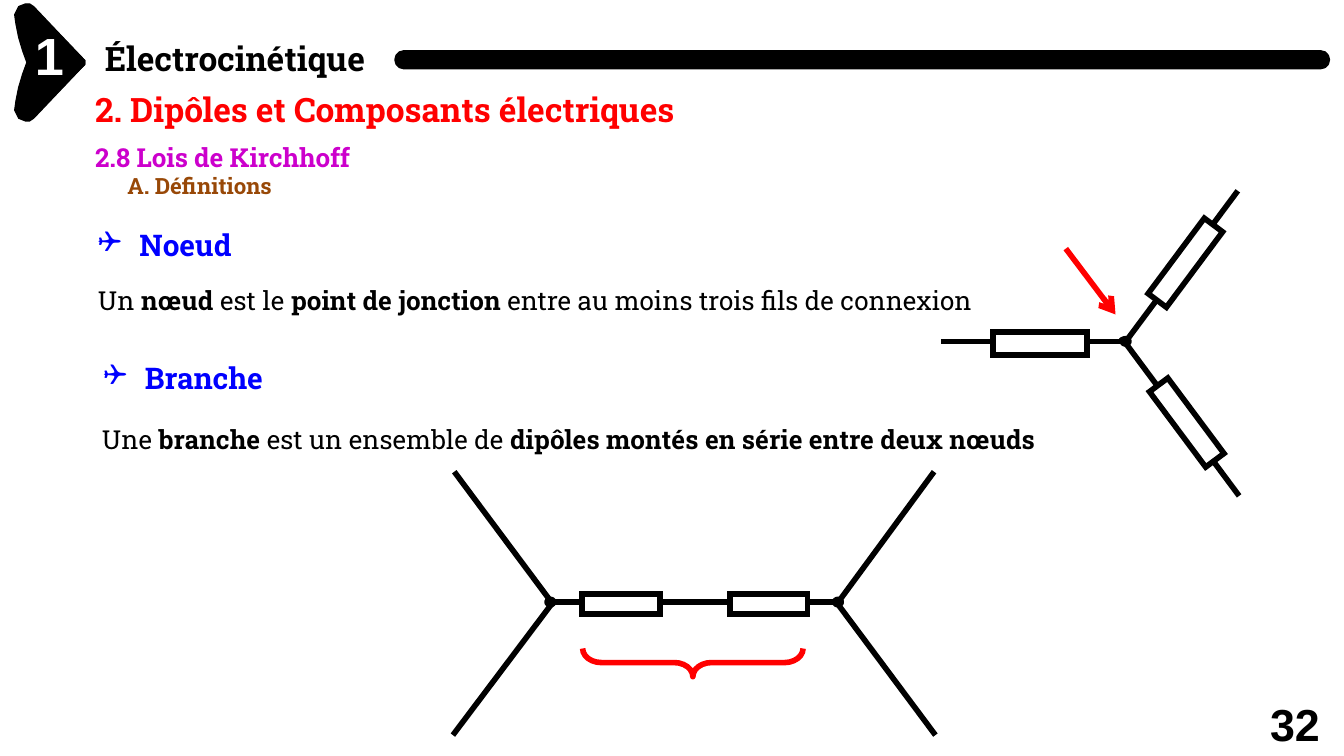
from lxml import etree
from pptx import Presentation
from pptx.dml.color import RGBColor
from pptx.enum.shapes import MSO_CONNECTOR, MSO_SHAPE
from pptx.enum.text import PP_ALIGN
from pptx.oxml.ns import qn
from pptx.util import Pt

PX = 9144  # 100 px to the inch
STRAIGHT = MSO_CONNECTOR.STRAIGHT
RECTANGLE = MSO_SHAPE.RECTANGLE
OVAL = MSO_SHAPE.OVAL
ROUNDED = MSO_SHAPE.ROUNDED_RECTANGLE
BRACE = MSO_SHAPE.RIGHT_BRACE
JUSTIFY = PP_ALIGN.JUSTIFY

BLACK = RGBColor(0x00, 0x00, 0x00)
WHITE = RGBColor(0xFF, 0xFF, 0xFF)
RED = RGBColor(0xFF, 0x00, 0x00)
BLUE = RGBColor(0x00, 0x00, 0xFF)
MAGENTA = RGBColor(0xCC, 0x00, 0xCC)
BROWN = RGBColor(0x98, 0x48, 0x07)
SLAB = "Roboto Slab"
TIGHT = "-5"  # letter spacing of the headings, in hundredths of a point

prs = Presentation()
prs.slide_width = 1000 * PX
prs.slide_height = prs.slide_width * 9 // 16
slide = prs.slides.add_slide(prs.slide_layouts[6])
shapes = slide.shapes


def add_text(box, runs, size, color, font=SLAB, insets=(10, 5)):
    """Add a one-paragraph text box; runs are (text, bold) pairs."""
    frame_shape = shapes.add_textbox(*(v * PX for v in box))
    frame = frame_shape.text_frame
    frame.word_wrap = True
    frame.margin_left = frame.margin_right = insets[0] * PX
    frame.margin_top = frame.margin_bottom = insets[1] * PX
    for text, bold in runs:
        run = frame.paragraphs[0].add_run()
        run.text = text
        run.font.name = font
        run.font.size = Pt(size)
        run.font.bold = bold
        run.font.color.rgb = color
    return frame_shape


def paint(shape, fill, line, width):
    shape.shadow.inherit = False
    if fill is None:
        shape.fill.background()
    else:
        shape.fill.solid()
        shape.fill.fore_color.rgb = fill
    shape.line.color.rgb = line
    shape.line.width = Pt(width)


# Header: chapter marker made of two mirrored lobes, title and bar
LOBE = [(19, 3), (14, 5), (11, 11), (12, 18), (14, 28), (17, 38), (21, 49),
        (25, 60), (27, 70), (28, 79), (28, 83), (26, 86), (62, 49), (63, 48),
        (63, 45), (62, 44), (25, 5), (22, 3)]
for lobe in (LOBE, [(x, 93 - y) for x, y in LOBE]):
    builder = shapes.build_freeform(*lobe[0], scale=PX)
    builder.add_line_segments(lobe[1:], close=True)
    paint(builder.convert_to_shape(), BLACK, BLACK, 0.75)

bar = shapes.add_shape(ROUNDED, 294 * PX, 38 * PX, 695 * PX, 13 * PX)
bar.adjustments[0] = 0.5
paint(bar, BLACK, BLACK, 1)

title = add_text((78, 27, 583, 33), [("Électrocinétique", True)], 18, BLACK,
                 insets=(0, 1))
add_text((26, 16, 24, 49), [("1", True)], 28, WHITE, "Arial", (0, 1))
page_number = add_text((945, 525, 55, 34), [("32", True)], 24, BLACK, "Arial", (0, 0))
page_number.text_frame.paragraphs[0].line_spacing = Pt(24.3)

# Section headings
section = add_text((61, 61, 515, 40), [("2. Dipôles et Composants électriques", True)],
                   18, RED)
subsection = add_text((61, 100, 500, 59), [("2.8 Lois de Kirchhoff", True)], 14, MAGENTA)
topic = subsection.text_frame.add_paragraph()
topic.text = "A. Définitions"
topic._p.get_or_add_pPr().set("marL", str(24 * PX))
topic_font = topic.runs[0].font
topic_font.name = SLAB
topic_font.size = Pt(12)
topic_font.bold = True
topic_font.color.rgb = BROWN
for heading in (title, section, subsection):
    for paragraph in heading.text_frame.paragraphs:
        paragraph.runs[0].font._element.set("spc", TIGHT)

# Bulleted terms
for box, term in (((63, 164, 284, 37), "Noeud"), ((67, 263, 502, 37), "Branche")):
    heading = add_text(box, [(term, True)], 16, BLUE)
    heading.fill.solid()
    heading.fill.fore_color.rgb = WHITE
    paragraph = heading.text_frame.paragraphs[0]
    paragraph.alignment = JUSTIFY
    properties = paragraph._p.get_or_add_pPr()
    properties.set("marL", str(31 * PX))
    properties.set("indent", str(-31 * PX))
    etree.SubElement(properties, qn("a:buFont")).set("typeface", "Wingdings")
    etree.SubElement(properties, qn("a:buChar")).set("char", "❑")

# Definitions
node_definition = [("Un ", False), ("nœud", True), (" est le ", False),
                   ("point de jonction", True),
                   (" entre au moins trois fils de connexion", False)]
branch_definition = [("Une ", False), ("branche", True), (" est un ensemble de", False),
                     (" dipôles montés en série entre deux nœuds", True)]
for box, definition in (((63, 207, 729, 34), node_definition),
                        ((66, 310, 809, 34), branch_definition)):
    sentence = add_text(box, definition, 14, BLACK)
    sentence.text_frame.paragraphs[0].alignment = JUSTIFY

# Wires of both circuits, then the arrow pointing at the node
WIRES = [
    (700, 254, 840, 254), (837, 255, 921, 142), (838, 256, 922, 369),
    (623, 449, 695, 351), (623, 449, 696, 547), (510, 448, 627, 448),
    (524, 448, 407, 448), (411, 449, 338, 351), (410, 450, 337, 547),
]
NODE_ARROW = (793, 185, 830, 234)
for ends in WIRES + [NODE_ARROW]:
    wire = shapes.add_connector(STRAIGHT, *(v * PX for v in ends))
    wire.line.color.rgb = RED if ends == NODE_ARROW else BLACK
    wire.line.width = Pt(3)
    if ends == NODE_ARROW:
        etree.SubElement(wire.line._get_or_add_ln(), qn("a:tailEnd")).set("type", "arrow")
    etree.SubElement(wire._element.spPr, qn("a:effectLst"))

# Dipoles: left, top, width, height, rotation
for *box, angle in ((739, 247, 70, 17, 0), (847, 187, 70, 17, 306.7),
                    (848, 306, 70, 17, 53.3), (543, 442, 58, 15, 0),
                    (433, 442, 58, 15, 0)):
    dipole = shapes.add_shape(RECTANGLE, *(v * PX for v in box))
    dipole.rotation = angle
    paint(dipole, WHITE, BLACK, 3)
    etree.SubElement(dipole.line._get_or_add_ln(), qn("a:miter")).set("lim", "800000")

# Nodes
for left, top, width, line_width in ((833, 251, 6, 0.75), (835, 252, 5, 3),
                                     (621, 446, 5, 3), (407, 446, 5, 3)):
    node = shapes.add_shape(OVAL, left * PX, top * PX, width * PX, 4 * PX)
    paint(node, BLACK, BLACK, line_width)

# Brace under the branch
brace = shapes.add_shape(BRACE, 505 * PX, 411 * PX, 21 * PX, 164 * PX)
brace.rotation = 90
brace.adjustments[0] = 0.66
paint(brace, None, RED, 3)

prs.save("out.pptx")
